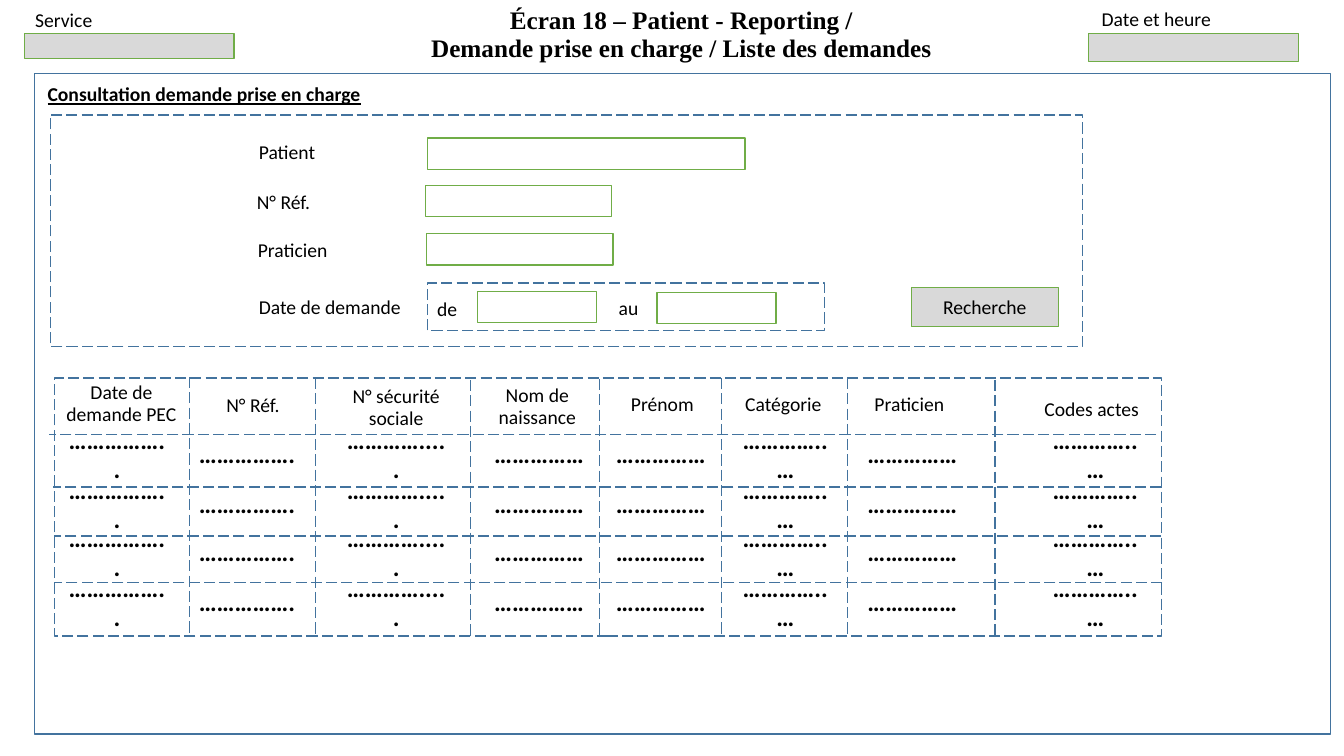
from dataclasses import dataclass
from typing import Optional

from lxml.etree import SubElement
from pptx import Presentation
from pptx.dml.color import RGBColor
from pptx.enum.dml import MSO_LINE_DASH_STYLE as Dash
from pptx.enum.shapes import MSO_CONNECTOR as Connector
from pptx.enum.shapes import MSO_SHAPE as Preset
from pptx.enum.text import MSO_ANCHOR as Anchor
from pptx.enum.text import MSO_AUTO_SIZE as AutoSize
from pptx.enum.text import PP_ALIGN as Align
from pptx.oxml.ns import qn
from pptx.util import Pt

COLOURS = {"frame": "43739E", "field": "70AD47", "grey": "D9D9D9", "text": "000000"}

# Font formats
PLAIN = {"name": "Calibri", "size": Pt(14), "bold": False}
HEADING = {**PLAIN, "bold": True, "underline": True}
DOTS = {**PLAIN, "size": Pt(18), "bold": True}
TITLE = {**DOTS, "name": "Times New Roman"}


@dataclass
class Box:
    left: float
    top: float
    width: float
    height: float
    line: str = "field"
    fill: Optional[str] = None
    dashed: bool = False
    text: str = ""


@dataclass
class Label:
    text: str
    left: float
    top: float
    width: float = 127.4
    height: float = 27.4
    align: Align = Align.LEFT
    anchor: Anchor = Anchor.MIDDLE
    spacing: float = 0.95
    wrap: bool = True


@dataclass
class Column:
    header: Label
    dots: str
    dots_left: float


@dataclass
class GridLine:
    x1: float
    y1: float
    x2: float
    y2: float


def colour(name: str) -> RGBColor:
    return RGBColor.from_string(COLOURS[name])


def write(text_frame, label: Label, font_format: dict) -> None:
    """Fill a text frame; each line after the first follows a line break."""
    frame_format = {"word_wrap": label.wrap, "auto_size": AutoSize.NONE,
                    "vertical_anchor": label.anchor}
    for name, value in frame_format.items():
        setattr(text_frame, name, value)
    paragraph = text_frame.paragraphs[0]
    paragraph.alignment = label.align
    paragraph.line_spacing = label.spacing
    for index, line in enumerate(label.text.splitlines()):
        if index:
            paragraph.add_line_break()
        run = paragraph.add_run()
        run.text = line
        for name, value in font_format.items():
            setattr(run.font, name, value)
        run.font.color.rgb = colour("text")


def style_line(line, name: str, dashed: bool) -> None:
    line.color.rgb = colour(name)
    line.width = Pt(1)
    if dashed:
        line.dash_style = Dash.LONG_DASH


def draw_box(slide, box: Box) -> None:
    shape = slide.shapes.add_shape(
        Preset.RECTANGLE, Pt(box.left), Pt(box.top), Pt(box.width), Pt(box.height))
    shape.shadow.inherit = False
    if box.fill:
        shape.fill.solid()
        shape.fill.fore_color.rgb = colour(box.fill)
    else:
        shape.fill.background()
    style_line(shape.line, box.line, box.dashed)
    if box.text:
        label = Label(box.text, box.left, box.top, align=Align.CENTER, spacing=1.0)
        write(shape.text_frame, label, PLAIN)


def draw_label(slide, label: Label, font_format: dict) -> None:
    shape = slide.shapes.add_textbox(
        Pt(label.left), Pt(label.top), Pt(label.width), Pt(label.height))
    write(shape.text_frame, label, font_format)


def draw_grid_line(slide, grid_line: GridLine) -> None:
    connector = slide.shapes.add_connector(
        Connector.STRAIGHT, Pt(grid_line.x1), Pt(grid_line.y1),
        Pt(grid_line.x2), Pt(grid_line.y2))
    style_line(connector.line, "frame", True)
    SubElement(connector._element.spPr, qn("a:effectLst"))


def header(text: str, left: float, top: float = 275,
           width: float = 85, height: float = 28.1) -> Label:
    return Label(text, left, top, width, height, Align.CENTER)


BOXES = [
    Box(24.5, 52.6, 925.9, 471.6, "frame"),
    Box(17.3, 23.8, 149.8, 18, fill="grey"),
    Box(777.6, 23.8, 149.8, 20.2, fill="grey"),
    # Search panel and its fields
    Box(36, 82.1, 737.3, 165.6, "frame", dashed=True),
    Box(305.3, 98.6, 226.8, 22.3),
    Box(303.8, 132.5, 133.2, 22.3),
    Box(304.6, 167, 133.2, 22.3),
    Box(305.3, 202.3, 283.7, 33.8, "frame", dashed=True),
    Box(341.3, 208.1, 85, 22.3),
    Box(469.4, 208.8, 85, 22.3),
    Box(650.9, 205.2, 105.1, 28.1, fill="grey", text="Recherche"),
    # Outline of the request list
    Box(38.9, 270, 790.6, 184.3, "frame", dashed=True),
]

LABELS = [
    Label("Service", 18, 2.2, 100.8, 24.5, anchor=Anchor.TOP, spacing=1.0),
    Label("Date et heure", 779.8, 1.4, 93.6, 24.5, anchor=Anchor.TOP,
          spacing=1.0, wrap=False),
    Label("Patient", 177.8, 95, height=28.1),
    Label("N° Réf.", 176.4, 131),
    Label("Praticien", 177.1, 165.6),
    Label("Date de demande", 177.8, 205.9),
    Label("de", 298.1, 207.4, 42.5, align=Align.CENTER),
    Label("au", 427.7, 206.6, 42.5, align=Align.CENTER),
]

COLUMNS = [
    Column(header("Date de demande PEC", 38.9, 267.8, 95.8, 41), "……………..", 41),
    Column(header("N° Réf.", 138.2, 275.8), "…………….", 133.9),
    Column(header("N° sécurité sociale", 240.5, 274.3, height=33.8), "………….....", 240.5),
    Column(header("Nom de naissance", 341.3, 273.6, height=33.8), "……………", 342.5),
    Column(header("Prénom", 430.6), "……………", 429.5),
    Column(header("Catégorie", 517), "…………..…", 518.4),
    Column(header("Praticien", 607), "……………", 609.1),
    Column(header("Codes actes", 737.3, 278.6), "…………..…", 739.8),
]
ROW_TOPS = [311, 346.7, 381, 416.7]

COLUMN_LINES = [(135.4, 269.3), (225.4, 270), (336.2, 271.4), (428.4, 270.7),
                (515.5, 270), (605.5, 270), (710.6, 271.4)]
ROW_LINES = [(35.3, 825.8, 310.3), (38.2, 829.4, 347.8),
             (38.9, 829.4, 383), (39.6, 830.2, 416.2)]


def main() -> None:
    presentation = Presentation()
    presentation.slide_width, presentation.slide_height = Pt(960), Pt(540)
    slide = presentation.slides.add_slide(presentation.slide_layouts[5])

    # Screen title
    title = slide.shapes.title
    place = {"left": 285.8, "top": 6.5, "width": 401.8, "height": 42.5}
    for name, value in place.items():
        setattr(title, name, Pt(value))
    title_text = """Écran 18 – Patient - Reporting /
Demande prise en charge / Liste des demandes"""
    write(title.text_frame, Label(title_text, **place, align=Align.CENTER,
                                  anchor=Anchor.BOTTOM), TITLE)

    # Frames, fields and their labels
    for box in BOXES:
        draw_box(slide, box)
    for label in LABELS:
        draw_label(slide, label, PLAIN)
    draw_label(slide, Label("Consultation demande prise en charge", 25.2, 52.6,
                            241.2, 30.2, Align.CENTER), HEADING)

    # Request list: rules, headers and dotted entries
    for x, top in COLUMN_LINES:
        draw_grid_line(slide, GridLine(x, top, x, top + 184.3))
    for left, right, y in ROW_LINES:
        draw_grid_line(slide, GridLine(right, y, left, y))
    for column in COLUMNS:
        draw_label(slide, column.header, PLAIN)
        for top in ROW_TOPS:
            draw_label(slide, header(column.dots, column.dots_left, top), DOTS)

    presentation.save("out.pptx")


if __name__ == "__main__":
    main()
